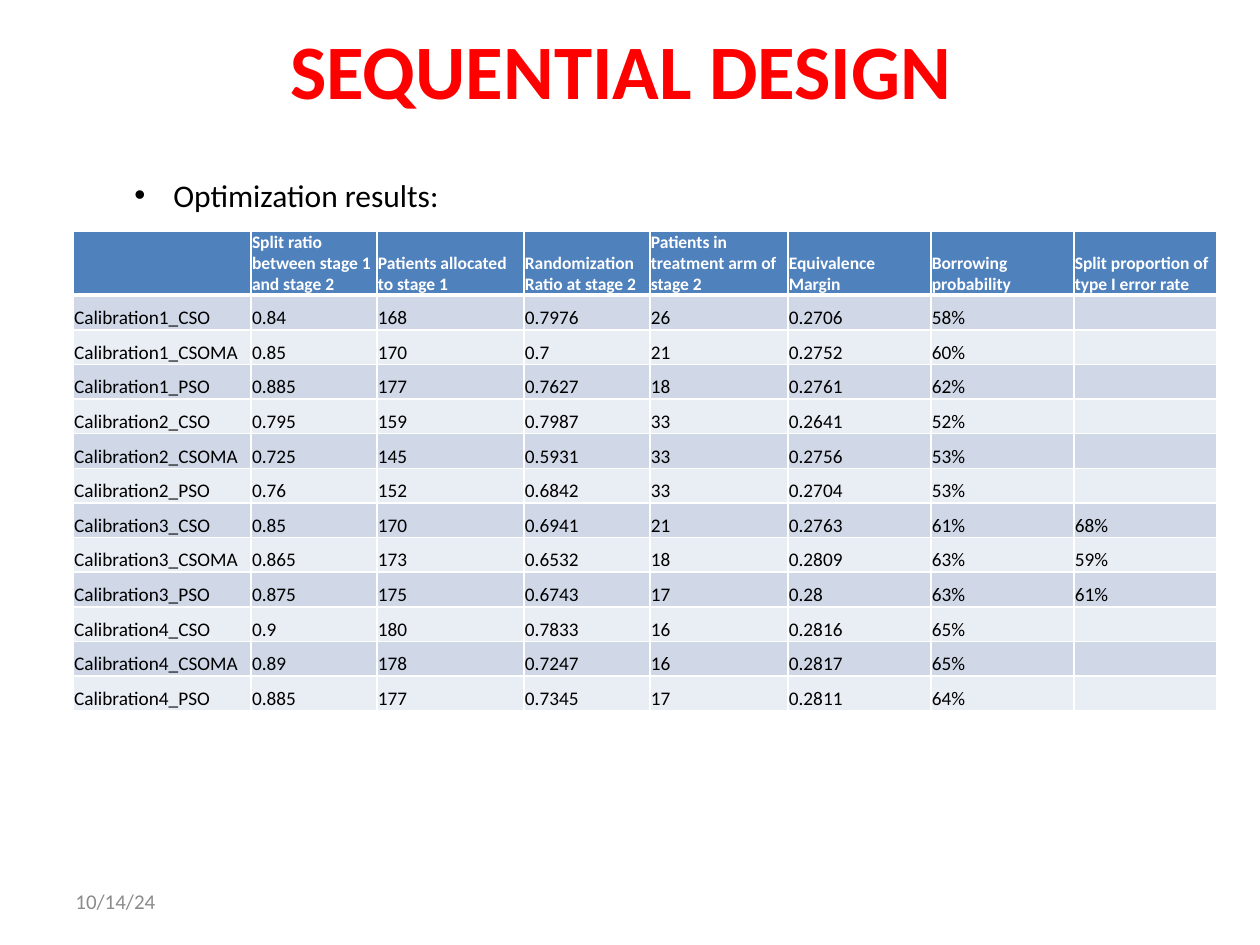
from lxml import etree
from pptx import Presentation
from pptx.dml.color import RGBColor
from pptx.enum.text import MSO_ANCHOR, PP_ALIGN
from pptx.oxml.ns import qn
from pptx.util import Pt

PX = 914400 // 126
TOP, MIDDLE, BOTTOM = MSO_ANCHOR.TOP, MSO_ANCHOR.MIDDLE, MSO_ANCHOR.BOTTOM
LEFT, CENTER = PP_ALIGN.LEFT, PP_ALIGN.CENTER

COLORS = {
    "title": "FF0000", "text": "000000", "date": "8C8C8C", "white": "FFFFFF",
    "header": "4F81BD", "band_dark": "D0D8E8", "band_light": "E9EDF4",
}

HEADERS = [
    "", "Split ratio between stage 1 and stage 2", "Patients allocated to stage 1",
    "Randomization Ratio at stage 2", "Patients in treatment arm of stage 2",
    "Equivalence Margin", "Borrowing probability",
    "Split proportion of type I error rate",
]
RESULTS = [
    ["Calibration1_CSO", "0.84", "168", "0.7976", "26", "0.2706", "58%", ""],
    ["Calibration1_CSOMA", "0.85", "170", "0.7", "21", "0.2752", "60%", ""],
    ["Calibration1_PSO", "0.885", "177", "0.7627", "18", "0.2761", "62%", ""],
    ["Calibration2_CSO", "0.795", "159", "0.7987", "33", "0.2641", "52%", ""],
    ["Calibration2_CSOMA", "0.725", "145", "0.5931", "33", "0.2756", "53%", ""],
    ["Calibration2_PSO", "0.76", "152", "0.6842", "33", "0.2704", "53%", ""],
    ["Calibration3_CSO", "0.85", "170", "0.6941", "21", "0.2763", "61%", "68%"],
    ["Calibration3_CSOMA", "0.865", "173", "0.6532", "18", "0.2809", "63%", "59%"],
    ["Calibration3_PSO", "0.875", "175", "0.6743", "17", "0.28", "63%", "61%"],
    ["Calibration4_CSO", "0.9", "180", "0.7833", "16", "0.2816", "65%", ""],
    ["Calibration4_CSOMA", "0.89", "178", "0.7247", "16", "0.2817", "65%", ""],
    ["Calibration4_PSO", "0.885", "177", "0.7345", "17", "0.2811", "64%", ""],
]
COLUMN_WIDTHS = [178, 126, 147, 126, 138, 143, 143, 143]
HEADER_HEIGHT, BODY_HEIGHT = 64, 416


class SlideBuilder:
    font = "Calibri"

    def __init__(self, slide):
        self.slide = slide

    def add_run(self, p, text, size, color, bold=False):
        """Fill a paragraph; an empty one still gets its text size."""
        if not text:
            etree.SubElement(p._p, qn("a:endParaRPr"), sz=str(size * 100))
            return
        r = p.add_run()
        r.text = text
        for name, value in {"name": self.font, "size": Pt(size), "bold": bold}.items():
            setattr(r.font, name, value)
        r.font.color.rgb = RGBColor.from_string(COLORS[color])

    def text(self, box, text, size, color, bold=False, align=LEFT, anchor=MIDDLE):
        tf = self.slide.shapes.add_textbox(*(v * PX for v in box)).text_frame
        tf.word_wrap = True
        tf.vertical_anchor = anchor
        p = tf.paragraphs[0]
        p.alignment = align
        self.add_run(p, text, size, color, bold)
        return p

    def bullet(self, box, text, size, color, indent):
        p = self.text(box, text, size, color, anchor=TOP)
        pPr = p._p.get_or_add_pPr()
        pPr.set("marL", str(indent * PX))
        pPr.set("indent", str(-indent * PX))
        etree.SubElement(pPr, qn("a:buFont"), typeface="Arial")
        etree.SubElement(pPr, qn("a:buChar"), char="•")

    def borders(self, cell, top, bottom):
        tcPr = cell._tc.get_or_add_tcPr()
        for side, width in {"L": 1, "R": 1, "T": top, "B": bottom}.items():
            ln = etree.SubElement(tcPr, qn(f"a:ln{side}"), w=str(Pt(width)))
            fill = etree.SubElement(ln, qn("a:solidFill"))
            etree.SubElement(fill, qn("a:srgbClr"), val=COLORS["white"])

    def cell(self, cell, text, fill, style, top=1, bottom=1):
        self.borders(cell, top, bottom)
        cell.fill.solid()
        cell.fill.fore_color.rgb = RGBColor.from_string(COLORS[fill])
        layout = {"margin_left": PX, "margin_right": PX, "margin_top": PX,
                  "margin_bottom": 0, "vertical_anchor": BOTTOM}
        for name, value in layout.items():
            setattr(cell, name, value)
        self.add_run(cell.text_frame.paragraphs[0], text, **style)

    def table(self, x, y, headers, results):
        box = (x, y, sum(COLUMN_WIDTHS), HEADER_HEIGHT + BODY_HEIGHT)
        table = self.slide.shapes.add_table(
            len(results) + 1, len(headers), *(v * PX for v in box)).table
        for column, width in zip(table.columns, COLUMN_WIDTHS):
            column.width = width * PX
        for row in table.rows:
            row.height = BODY_HEIGHT * PX // len(results)
        table.rows[0].height = HEADER_HEIGHT * PX

        header_style = {"size": 10, "color": "white", "bold": True}
        body_style = {"size": 11, "color": "text"}
        for j, text in enumerate(headers):
            self.cell(table.cell(0, j), text, "header", header_style, bottom=3)
        for i, values in enumerate(results, 1):
            band = "band_dark" if i % 2 else "band_light"
            for j, text in enumerate(values):
                self.cell(table.cell(i, j), text, band, body_style, top=3 if i == 1 else 1)


def main():
    prs = Presentation()
    prs.slide_width, prs.slide_height = 1260 * PX, 945 * PX
    s = SlideBuilder(prs.slides.add_slide(prs.slide_layouts[6]))
    s.text((87, 0, 1086, 137), "SEQUENTIAL DESIGN ", 44, "title", bold=True, align=CENTER)
    s.text((63, 876, 294, 50), "10/14/24", 12, "date")
    s.table(73, 231, HEADERS, RESULTS)
    s.bullet((122, 170, 697, 50), "Optimization results:", 18, "text", indent=39)
    prs.save("out.pptx")


if __name__ == "__main__":
    main()
